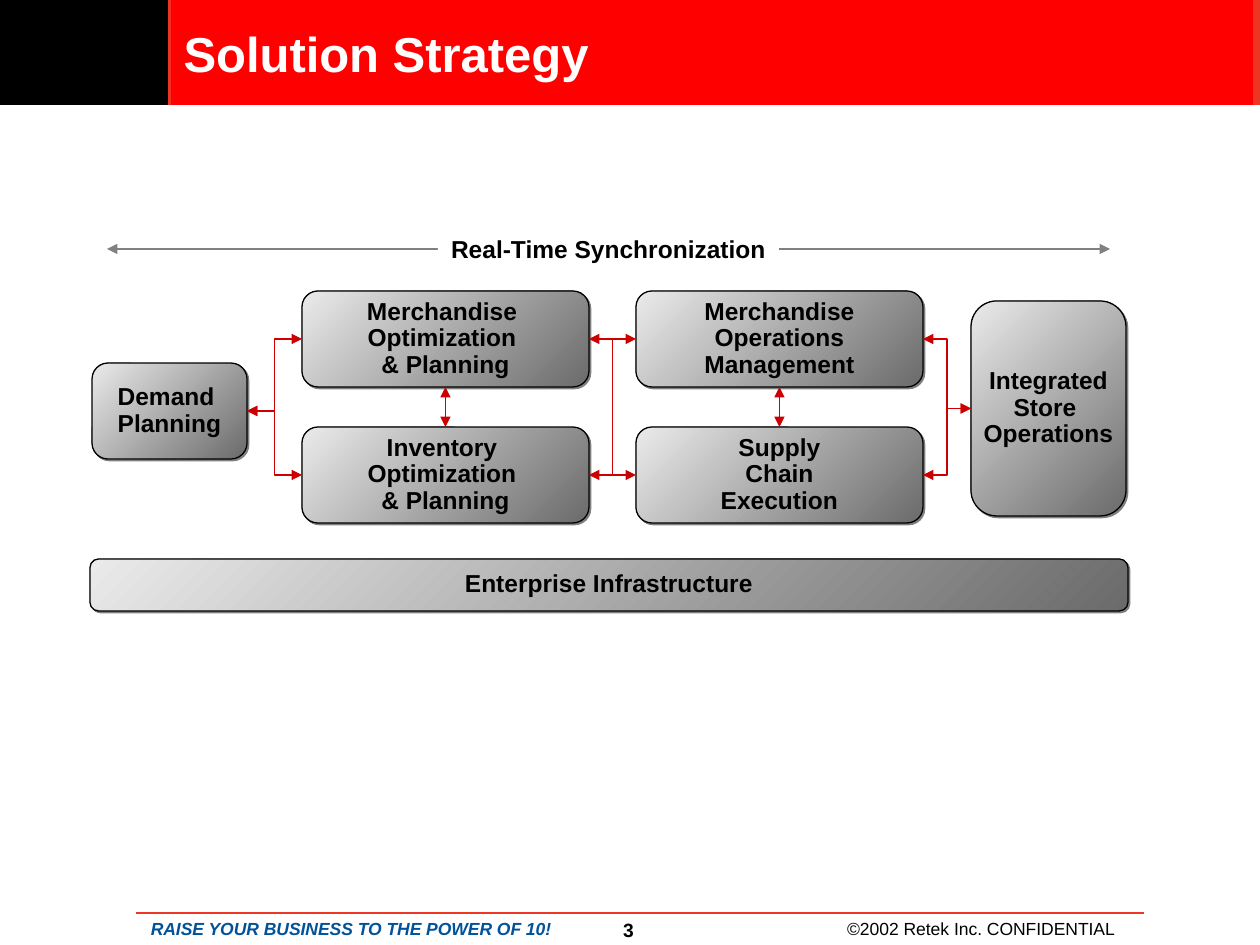
from dataclasses import dataclass

import pptx
import pptx.dml.color
import pptx.enum.shapes
import pptx.enum.text
import pptx.oxml
import pptx.oxml.ns
import pptx.util
from pptx.oxml.xmlchemy import OxmlElement

PX = 914400 / 126
FONT = "Arial"
COLORS = {
    "black": "000000", "white": "FFFFFF", "bar": "EE3524", "title": "FF0000",
    "tagline": "00539B", "link": "CC0000", "gray": "808080",
    "dark": "6B6B6B", "light": "EAEAEA",
}
TOP, LEFT, BOTTOM, RIGHT = range(4)
SHAPE = pptx.enum.shapes.MSO_SHAPE
CONNECTOR = pptx.enum.shapes.MSO_CONNECTOR
ALIGN = pptx.enum.text.PP_ALIGN
ANCHOR = pptx.enum.text.MSO_ANCHOR

COL_X, COL_STEP = 302, 334
ROW_Y, ROW_STEP = 291, 136
BOX_W, BOX_H = 287, 96
SIDE_W = 155


@dataclass(frozen=True)
class Box:
    name: str
    lines: tuple[str, ...]
    x: int
    y: int
    w: int = BOX_W
    h: int = BOX_H
    spacing: float = 0.9


@dataclass(frozen=True)
class Link:
    start: str
    start_side: int
    end: str
    end_side: int
    kind: int = CONNECTOR.ELBOW


BOXES = [
    Box("planning", ("Merchandise ", "Optimization ", "& Planning"), COL_X, ROW_Y),
    Box("demand", ("Demand ", "Planning"), 92, 363, SIDE_W),
    Box("inventory", ("Inventory ", "Optimization ", "& Planning"), COL_X, ROW_Y + ROW_STEP),
    Box("operations", ("Merchandise", "Operations", "Management"), COL_X + COL_STEP, ROW_Y),
    Box("supply", ("Supply", "Chain", "Execution"), COL_X + COL_STEP, ROW_Y + ROW_STEP),
    Box("store", ("Integrated", "Store ", "Operations"), 971, 301, SIDE_W, 215),
    Box("infrastructure", ("Enterprise Infrastructure",), 90, 559, 1038, 52, 0.8),
]
LINKS = [
    Link("demand", RIGHT, "planning", LEFT),
    Link("demand", RIGHT, "inventory", LEFT),
    Link("inventory", RIGHT, "operations", LEFT),
    Link("planning", RIGHT, "supply", LEFT),
    Link("operations", RIGHT, "store", LEFT),
    Link("supply", RIGHT, "store", LEFT),
    Link("supply", TOP, "operations", BOTTOM, CONNECTOR.STRAIGHT),
    Link("inventory", TOP, "planning", BOTTOM, CONNECTOR.STRAIGHT),
]


def px(*lengths: int) -> list[int]:
    return [round(n * PX) for n in lengths]


def rgb(name: str) -> pptx.dml.color.RGBColor:
    return pptx.dml.color.RGBColor.from_string(COLORS[name])


def write(sp, *lines: str, size=14, color="black", bold=True, italic=False,
          align=ALIGN.CENTER, anchor=ANCHOR.MIDDLE, wrap=False, spacing=None) -> None:
    tf = sp.text_frame
    tf.word_wrap = wrap
    tf.auto_size = pptx.enum.text.MSO_AUTO_SIZE.NONE
    tf.vertical_anchor = anchor
    tf.margin_left = tf.margin_right = pptx.util.Inches(0.1)
    tf.margin_top = tf.margin_bottom = pptx.util.Inches(0.05)
    for i, line in enumerate(lines):
        p = tf.add_paragraph() if i else tf.paragraphs[0]
        p.alignment = align
        p.line_spacing = spacing
        r = p.add_run()
        r.text = line
        r.font.name, r.font.size = FONT, pptx.util.Pt(size)
        r.font.bold, r.font.italic = bold, italic
        r.font.color.rgb = rgb(color)


def add_rect(slide, x: int, y: int, w: int, h: int, color: str):
    sp = slide.shapes.add_shape(SHAPE.RECTANGLE, *px(x, y, w, h))
    sp.shadow.inherit = False
    sp.fill.solid()
    sp.fill.fore_color.rgb = rgb(color)
    sp.line.fill.background()
    return sp


def add_text(slide, text: str, x: int, y: int, w: int, h: int, **style) -> None:
    write(slide.shapes.add_textbox(*px(x, y, w, h)), text, **style)


def add_box(slide, box: Box):
    """Rounded box with a diagonal gradient and a hard gray shadow."""
    sp = slide.shapes.add_shape(SHAPE.ROUNDED_RECTANGLE, *px(box.x, box.y, box.w, box.h))
    sp.fill.gradient()
    sp.fill.gradient_angle = 135
    for stop, color in zip(sp.fill.gradient_stops, ("dark", "light")):
        stop.color.rgb = rgb(color)
    sp.line.color.rgb = rgb("black")
    sp.line.width = pptx.util.Pt(0.75)
    sp.shadow.inherit = False
    shadow = OxmlElement("a:outerShdw")
    for key, value in {"blurRad": "0", "dist": "17780", "dir": "2700000",
                       "algn": "ctr", "rotWithShape": "0"}.items():
        shadow.set(key, value)
    color = OxmlElement("a:srgbClr")
    color.set("val", COLORS["gray"])
    shadow.append(color)
    sp._element.spPr.find(pptx.oxml.ns.qn("a:effectLst")).append(shadow)
    write(sp, *box.lines, spacing=box.spacing)
    return sp


def add_line(slide, kind: int, color: str, width: float,
             ends=(0, 0, 0, 0), arrows: bool = True):
    c = slide.shapes.add_connector(kind, *px(*ends))
    c.line.color.rgb = rgb(color)
    c.line.width = pptx.util.Pt(width)
    if arrows:
        for tag in ("a:headEnd", "a:tailEnd"):
            end = OxmlElement(tag)
            end.set("type", "triangle")
            c.line._get_or_add_ln().append(end)
    c._element.spPr.append(OxmlElement("a:effectLst"))
    return c


def add_frame(slide) -> None:
    """Header bars and footer."""
    add_rect(slide, 168, 0, 1092, 105, "bar")
    add_rect(slide, 0, 0, 168, 105, "black")
    add_text(slide, "©2002 Retek Inc. CONFIDENTIAL", 850, 915, 262, 28, size=10, bold=False)
    add_text(slide, "3", 539, 912, 179, 37, size=11, anchor=ANCHOR.TOP, wrap=True)
    add_line(slide, CONNECTOR.STRAIGHT, "bar", 1.5, (1144, 913, 136, 913), arrows=False)
    add_text(slide, "RAISE YOUR BUSINESS TO THE POWER OF 10!", 220, 915, 262, 28,
             size=10, color="tagline", italic=True)


def add_title(slide, text: str) -> None:
    sp = slide.shapes.title
    sp.left, sp.top, sp.width, sp.height = px(171, 0, 1082, 105)
    sp.fill.solid()
    sp.fill.fore_color.rgb = rgb("title")
    write(sp, text, size=28, color="white", align=ALIGN.LEFT, wrap=True)
    slide.shapes._spTree.append(sp._element)  # in front of the header bar


def main() -> None:
    prs = pptx.Presentation()
    prs.slide_width, prs.slide_height = px(1260, 945)
    slide = prs.slides.add_slide(prs.slide_layouts[5])
    add_frame(slide)

    shapes = {box.name: add_box(slide, box) for box in BOXES}
    for link in LINKS:
        c = add_line(slide, link.kind, "link", 0.75)
        c.begin_connect(shapes[link.start], link.start_side)
        c.end_connect(shapes[link.end], link.end_side)

    add_line(slide, CONNECTOR.STRAIGHT, "gray", 1, (107, 249, 1110, 249))
    label = add_rect(slide, 438, 228, 341, 43, "white")
    write(label, "Real-Time Synchronization", anchor=ANCHOR.TOP)
    add_title(slide, "Solution Strategy")
    prs.save("out.pptx")


if __name__ == "__main__":
    main()
